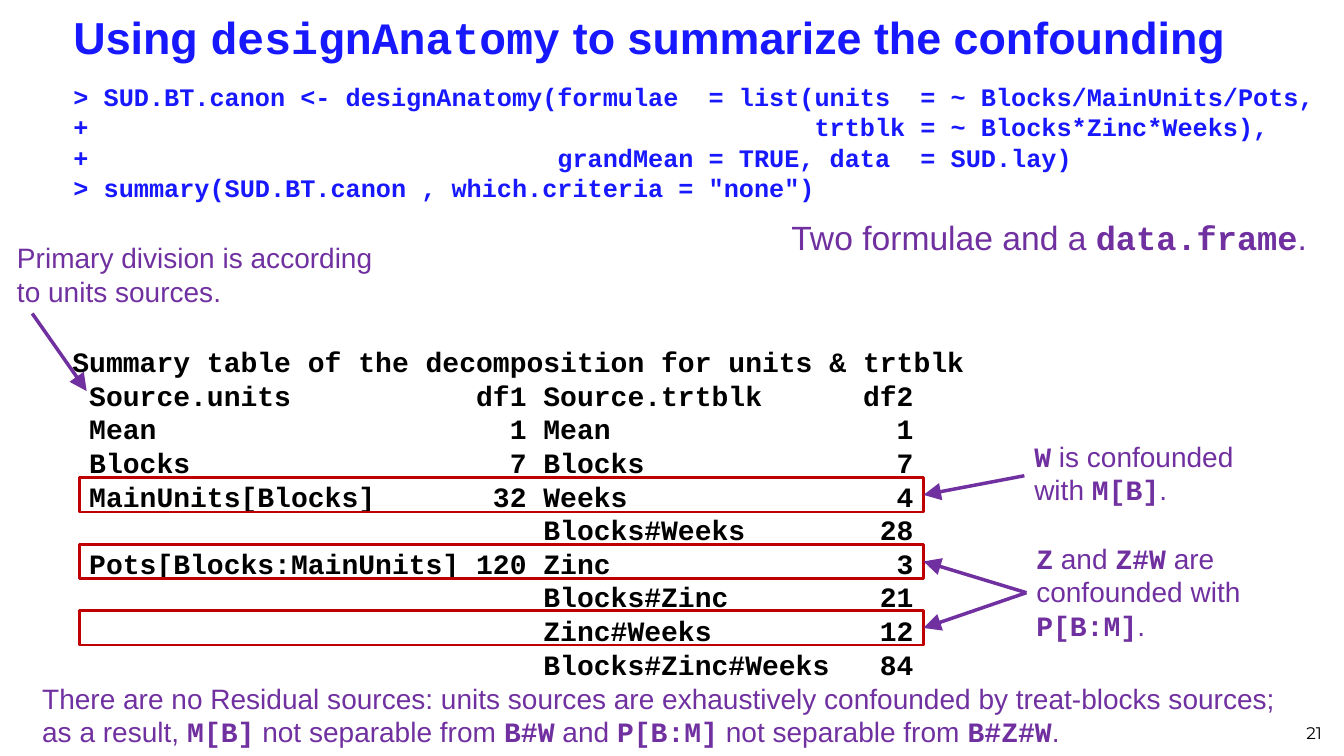
from dataclasses import dataclass
from lxml.etree import SubElement
from pptx import Presentation
from pptx.dml.color import RGBColor
from pptx.enum.shapes import MSO_CONNECTOR, MSO_SHAPE
from pptx.enum.text import MSO_ANCHOR, PP_ALIGN
from pptx.oxml.ns import qn
from pptx.util import Inches, Pt


@dataclass(frozen=True)
class Theme:
    blue: str = "1818FF"
    plum: str = "7030A0"
    red: str = "C00000"
    black: str = "000000"
    sans: str = "Arial"
    mono: str = "Courier New"
    foot: str = "Montserrat"
    title: int = 32
    lead: int = 24
    body: int = 20
    code: int = 18
    small: int = 12
    rule: float = 2
    arrow: float = 2.5


@dataclass(frozen=True)
class Box:
    left: float
    top: float
    width: float
    height: float

    def inches(self):
        return [Inches(v) for v in (self.left, self.top, self.width, self.height)]


THEME = Theme()


def sans(text, bold=False):
    return text, THEME.sans, bold


def mono(text):
    return text, THEME.mono, True


def add_text(slide, box, lines, size, color, anchor=MSO_ANCHOR.TOP, align=PP_ALIGN.LEFT):
    frame = slide.shapes.add_textbox(*box.inches()).text_frame
    frame.word_wrap = True
    frame.vertical_anchor = anchor
    for index, runs in enumerate(lines):
        para = frame.add_paragraph() if index else frame.paragraphs[0]
        para.alignment = align
        for text, face, bold in runs:
            run = para.add_run()
            run.text = text
            run.font.name = face
            run.font.bold = bold
            run.font.size = Pt(size)
            run.font.color.rgb = RGBColor.from_string(color)


def add_note(slide, box, *runs, size=THEME.body):
    add_text(slide, box, [runs], size, THEME.plum)


def add_arrow(slide, start, end):
    points = [Inches(v) for v in (*start, *end)]
    arrow = slide.shapes.add_connector(MSO_CONNECTOR.STRAIGHT, *points)
    arrow.line.color.rgb = RGBColor.from_string(THEME.plum)
    arrow.line.width = Pt(THEME.arrow)
    SubElement(arrow.line._get_or_add_ln(), qn("a:tailEnd"),
               type="triangle", w="lg", len="lg")
    SubElement(arrow._element.spPr, qn("a:effectLst"))


def add_frame(slide, box):
    frame = slide.shapes.add_shape(MSO_SHAPE.RECTANGLE, *box.inches())
    frame.shadow.inherit = False
    frame.fill.background()
    frame.line.color.rgb = RGBColor.from_string(THEME.red)
    frame.line.width = Pt(THEME.rule)


def add_title(slide, box):
    runs = [sans("Using ", True), mono("designAnatomy"),
            sans(" to summarize the confounding", True)]
    add_text(slide, box, [runs], THEME.title, THEME.blue, MSO_ANCHOR.MIDDLE)


def add_code(slide, box):
    lines = [
        "> SUD.BT.canon <- designAnatomy(formulae  = list(units  = ~ Blocks/MainUnits/Pots,",
        "+                                                trtblk = ~ Blocks*Zinc*Weeks),",
        "+                               grandMean = TRUE, data  = SUD.lay)",
        "> summary(SUD.BT.canon , which.criteria = \"none\")",
    ]
    add_text(slide, box, [[mono(line)] for line in lines], THEME.code, THEME.blue)


def add_summary(slide, box):
    lines = [
        "Summary table of the decomposition for units & trtblk",
        " Source.units           df1 Source.trtblk      df2",
        " Mean                     1 Mean                 1",
        " Blocks                   7 Blocks               7",
        " MainUnits[Blocks]       32 Weeks                4",
        "                            Blocks#Weeks        28",
        " Pots[Blocks:MainUnits] 120 Zinc                 3",
        "                            Blocks#Zinc         21",
        "                            Zinc#Weeks          12",
        "                            Blocks#Zinc#Weeks   84",
    ]
    add_text(slide, box, [[mono(line)] for line in lines], THEME.body, THEME.black)
    frames = [Box(box.left + 0.17, box.top + 0.05 + 0.33 * row, 8.37, 0.34)
              for row in (4, 6, 8)]
    for frame in frames:
        add_frame(slide, frame)
    return [(frame.left + frame.width, frame.top + frame.height / 2) for frame in frames]


def add_notes(slide, box, weeks, zinc, both):
    add_note(slide, Box(box.left, box.top, box.width, 0.77),
             mono("W"), sans(" is confounded with "), mono("M[B]"), sans("."))
    add_arrow(slide, (box.left, box.top + 0.41), weeks)
    add_note(slide, Box(box.left + 0.02, box.top + 1.01, box.width, 1.11),
             mono("Z"), sans(" and "), mono("Z#W"), sans(" are confounded with "),
             mono("P[B:M]"), sans("."))
    for end in (zinc, both):
        add_arrow(slide, (box.left + 0.02, box.top + 1.57), end)


def add_units(slide, box):
    add_note(slide, box, sans("Primary division is according to units sources."))
    left, top = box.left + 0.25, box.top + box.height
    add_arrow(slide, (left, top), (left + 0.54, top + 0.77))


def add_close(slide, box):
    add_note(slide, box,
             sans("There are no Residual sources: units sources are exhaustively "
                  "confounded by treat-blocks sources; as a result, "),
             mono("M[B]"), sans(" not separable from "), mono("B#W"), sans(" and "),
             mono("P[B:M]"), sans(" not separable from "), mono("B#Z#W"), sans("."))


def add_number(slide, box):
    add_text(slide, box, [[("21", THEME.foot, False)]], THEME.small, THEME.black,
             MSO_ANCHOR.BOTTOM, PP_ALIGN.RIGHT)


def main():
    deck = Presentation()
    deck.slide_width, deck.slide_height = Inches(13.33), Inches(7.5)
    slide = deck.slides.add_slide(deck.slide_layouts[6])
    add_title(slide, Box(0.63, -0.03, 12.6, 0.79))
    add_code(slide, Box(0.63, 0.76, 12.6, 1.36))
    add_number(slide, Box(10.1, 6.92, 3.11, 0.5))
    ends = add_summary(slide, Box(0.62, 3.37, 12.6, 3.52))
    add_note(slide, Box(7.75, 2.1, 5.48, 0.58), sans("Two formulae and a "),
             mono("data.frame"), sans("."), size=THEME.lead)
    add_notes(slide, Box(10.16, 4.31, 2.37, 2.12), *ends)
    add_units(slide, Box(0.07, 2.34, 3.78, 0.77))
    add_close(slide, Box(0.32, 6.71, 12.7, 0.77))
    deck.save("out.pptx")


if __name__ == "__main__":
    main()
